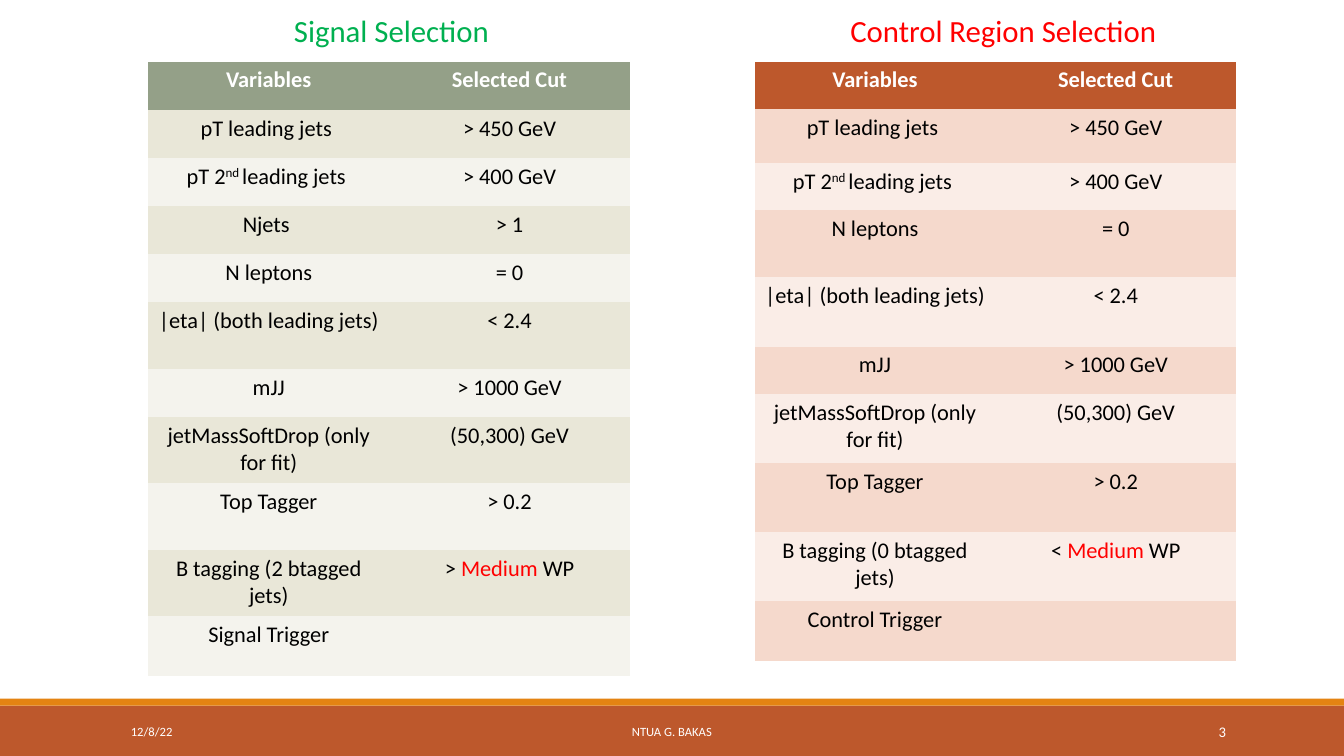
from pptx import Presentation
from pptx.dml.color import RGBColor
from pptx.enum.shapes import MSO_SHAPE
from pptx.enum.text import MSO_ANCHOR, MSO_AUTO_SIZE, PP_ALIGN
from pptx.util import Pt

FONT = "Calibri"
NO_GRID_STYLE = "{2D5ABB26-0587-4C30-8999-92F81FD0307C}"

WHITE = RGBColor(0xFF, 0xFF, 0xFF)
BLACK = RGBColor(0x00, 0x00, 0x00)
RED = RGBColor(0xFF, 0x00, 0x00)
GREEN = RGBColor(0x00, 0xB0, 0x50)
ORANGE = RGBColor(0xE4, 0x83, 0x12)
RUST = RGBColor(0xBD, 0x58, 0x2C)
SAGE = RGBColor(0x94, 0xA0, 0x88)
SAGE_BANDS = (RGBColor(0xE9, 0xE7, 0xD8), RGBColor(0xF4, 0xF3, 0xED))
RUST_BANDS = (RGBColor(0xF5, 0xD9, 0xCC), RGBColor(0xFA, 0xED, 0xE7))

# A cell is a string, or a list of (text, kind) runs
HEADER = ("Variables", "Selected Cut")
LEADING_JETS = ("pT leading jets ", "> 450 GeV")
SECOND_JETS = (
    [("pT 2", "plain"), ("nd ", "superscript"), ("leading jets ", "plain")],
    "> 400 GeV",
)
LEPTONS = ("N leptons", "= 0")
ETA = ("|eta| (both leading jets)", "< 2.4")
DIJET_MASS = ("mJJ", "> 1000 GeV")
SOFT_DROP = ("jetMassSoftDrop (only for fit)", "(50,300) GeV")
TOP_TAGGER = ("Top Tagger", "> 0.2")


def b_tagging(count, sign):
    cut = [(f"{sign} ", "plain"), ("Medium", "red"), (" WP", "plain")]
    return f"B tagging ({count} btagged jets)", cut


# (row height in points, cells)
SIGNAL_ROWS = [
    (34.4, HEADER),
    (34.4, LEADING_JETS),
    (34.4, SECOND_JETS),
    (34.4, ("Njets ", "> 1")),
    (34.4, LEPTONS),
    (47.5, ETA),
    (34.4, DIJET_MASS),
    (47.5, SOFT_DROP),
    (47.5, TOP_TAGGER),
    (47.5, b_tagging(2, ">")),
    (43, ("Signal Trigger", "")),
]
CONTROL_ROWS = [
    (33.8, HEADER),
    (38.8, LEADING_JETS),
    (33.8, SECOND_JETS),
    (47.8, LEPTONS),
    (49.4, ETA),
    (33.8, DIJET_MASS),
    (49.4, SOFT_DROP),
    (49.4, TOP_TAGGER),
    (49.4, b_tagging(0, "<")),
    (43, ("Control Trigger", "")),
]


def style_run(run, size, color, bold=False):
    run.font.name = FONT
    run.font.size = Pt(size)
    run.font.bold = bold
    run.font.color.rgb = color


def place(shape, left, top, width, height):
    shape.left, shape.top = Pt(left), Pt(top)
    shape.width, shape.height = Pt(width), Pt(height)


def add_heading(placeholder, text, color, left, top, width, height):
    place(placeholder, left, top, width, height)
    frame = placeholder.text_frame
    frame.text = text
    frame.word_wrap = False
    frame.auto_size = MSO_AUTO_SIZE.NONE
    frame.vertical_anchor = MSO_ANCHOR.TOP
    paragraph = frame.paragraphs[0]
    paragraph.alignment = PP_ALIGN.LEFT
    paragraph.space_before = Pt(0)
    style_run(paragraph.runs[0], 22, color)


def fill_cell(cell, content, fill, color, bold):
    cell.fill.solid()
    cell.fill.fore_color.rgb = fill
    paragraph = cell.text_frame.paragraphs[0]
    paragraph.alignment = PP_ALIGN.CENTER
    paragraph.font.size = Pt(16)
    runs = [(content, "plain")] if isinstance(content, str) else content
    for text, kind in runs:
        if not text:
            continue
        run = paragraph.add_run()
        run.text = text
        style_run(run, 16, RED if kind == "red" else color, bold)
        if kind == "superscript":
            run._r.get_or_add_rPr().set("baseline", "30000")


def add_cut_table(slide, rows, header_fill, bands, left, top, width):
    height = sum(row_height for row_height, _ in rows)
    frame = slide.shapes.add_table(
        len(rows), 2, Pt(left), Pt(top), Pt(width), Pt(height))
    table = frame.table
    table.horz_banding = False
    table._tbl.tblPr.find("{*}tableStyleId").text = NO_GRID_STYLE
    for column in table.columns:
        column.width = Pt(width / 2)
    for index, (row_height, contents) in enumerate(rows):
        table.rows[index].height = Pt(row_height)
        is_header = index == 0
        fill = header_fill if is_header else bands[(index - 1) % 2]
        color = WHITE if is_header else BLACK
        for cell, content in zip(table.rows[index].cells, contents):
            fill_cell(cell, content, fill, color, is_header)


def add_footer(slide, left, top, width, height):
    # Thin stripe above the main bar
    stripe = 5
    for bar_top, bar_height, color in (
        (top + stripe, height - stripe, RUST),
        (top, stripe, ORANGE),
    ):
        bar = slide.shapes.add_shape(
            MSO_SHAPE.RECTANGLE, Pt(left), Pt(bar_top), Pt(width), Pt(bar_height))
        bar.shadow.inherit = False
        bar.fill.solid()
        bar.fill.fore_color.rgb = color
        bar.line.fill.background()

    # Date, author and slide number
    for text, offset, text_width, size, alignment in (
        ("12/8/22", 86.4, 194.4, 9, PP_ALIGN.LEFT),
        ("NTUA G. BAKAS", 290.2, 379.4, 9, PP_ALIGN.CENTER),
        ("3", 779.8, 103, 10.5, PP_ALIGN.RIGHT),
    ):
        box = slide.shapes.add_textbox(
            Pt(left + offset), Pt(top + 9.3), Pt(text_width), Pt(28.8))
        frame = box.text_frame
        frame.text = text
        frame.word_wrap = True
        frame.vertical_anchor = MSO_ANCHOR.MIDDLE
        frame.paragraphs[0].alignment = alignment
        style_run(frame.paragraphs[0].runs[0], size, WHITE)


def build_selection_slide(presentation):
    # Comparison layout: body placeholders 1 and 3 are the column headings
    slide = presentation.slides.add_slide(presentation.slide_layouts[4])
    headings = {shape.placeholder_format.idx: shape for shape in slide.placeholders}
    for index in (0, 2, 4):
        unused = headings[index].element
        unused.getparent().remove(unused)

    add_footer(slide, 0, 499, 960, 41)

    # Signal column
    add_heading(headings[1], "Signal Selection", GREEN, 202.8, 5, 157, 34)
    add_cut_table(slide, SIGNAL_ROWS, SAGE, SAGE_BANDS, 106, 44, 344)

    # Control column
    add_heading(headings[3], "Control Region Selection", RED, 600.2, 5, 259, 34)
    add_cut_table(slide, CONTROL_ROWS, RUST, RUST_BANDS, 539, 44, 344)


def main():
    presentation = Presentation()
    presentation.slide_width = Pt(960)
    presentation.slide_height = Pt(540)
    build_selection_slide(presentation)
    presentation.save("out.pptx")


if __name__ == "__main__":
    main()
